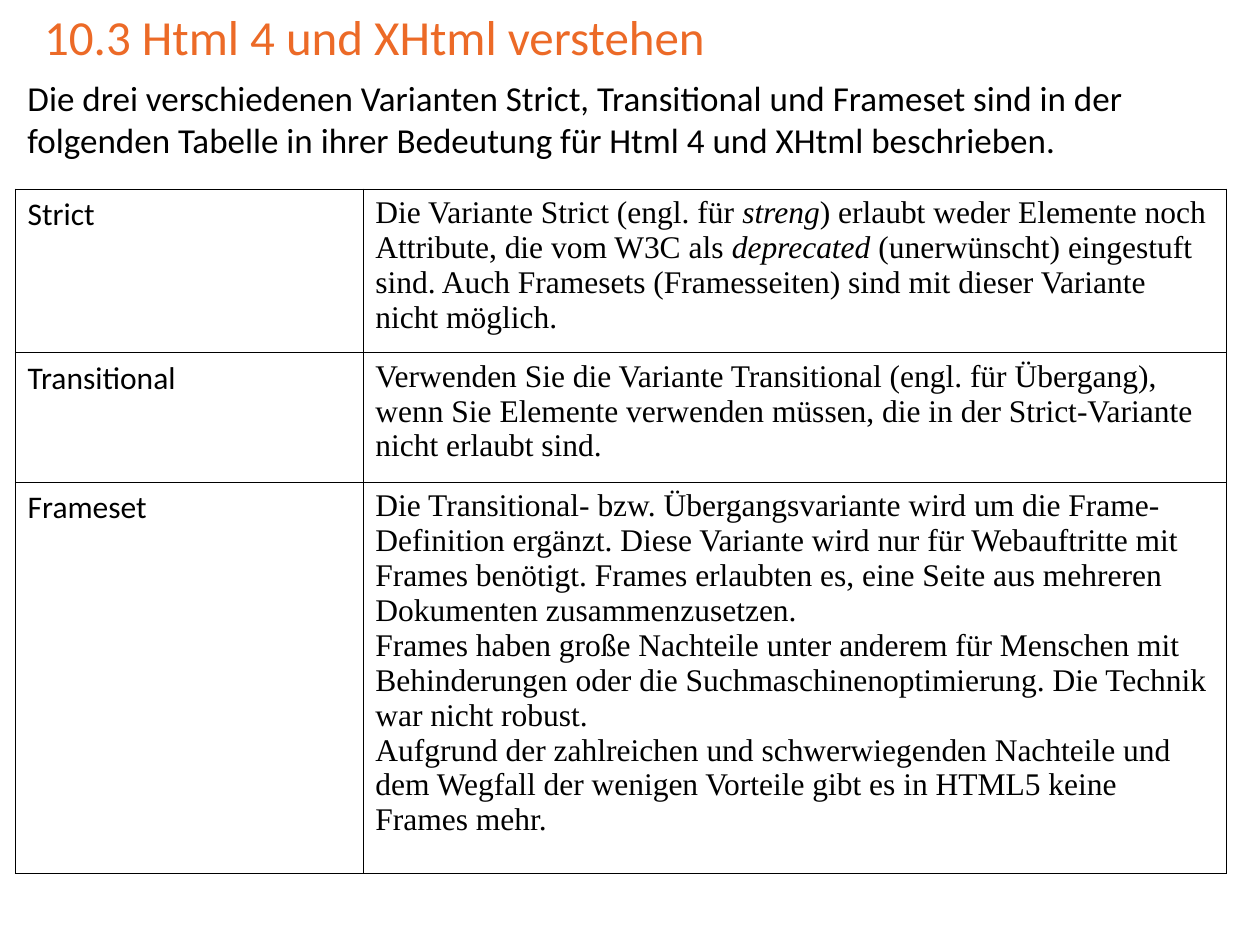
from dataclasses import dataclass

from lxml import etree
from pptx import Presentation
from pptx.dml.color import RGBColor
from pptx.enum.text import MSO_ANCHOR, MSO_AUTO_SIZE, PP_ALIGN
from pptx.oxml.ns import qn
from pptx.util import Inches, Pt

LEFT = PP_ALIGN.LEFT
TOP = MSO_ANCHOR.TOP
FIXED_SIZE = MSO_AUTO_SIZE.NONE
TITLE_ONLY = 5
BORDER_SIDES = ("a:lnL", "a:lnR", "a:lnT", "a:lnB")


@dataclass(frozen=True)
class Theme:
    accent: str = "EC6A27"
    ink: str = "000000"
    sans: str = "Calibri"
    serif: str = "Times New Roman"
    title_size: float = 28
    intro_size: float = 20
    table_size: float = 18
    border_width: float = 0.45


@dataclass(frozen=True)
class TextStyle:
    font: str
    size: float
    color: str


@dataclass(frozen=True)
class Variant:
    name: str
    paragraphs: tuple[str, ...]  # asterisks enclose italic words
    height: float


THEME = Theme()
TITLE_STYLE = TextStyle(THEME.sans, THEME.title_size, THEME.accent)
INTRO_STYLE = TextStyle(THEME.sans, THEME.intro_size, THEME.ink)
NAME_STYLE = TextStyle(THEME.sans, THEME.table_size, THEME.ink)
MEANING_STYLE = TextStyle(THEME.serif, THEME.table_size, THEME.ink)

TITLE = "10.3 Html 4 und XHtml verstehen"
INTRO = (
    "Die drei verschiedenen Varianten Strict, Transitional und Frameset sind in der "
    "folgenden Tabelle in ihrer Bedeutung für Html 4 und XHtml beschrieben."
)
COLUMN_WIDTHS = (2.76, 6.85)
VARIANTS = (
    Variant("Strict", (
        "Die Variante Strict (engl. für *streng*) erlaubt weder Elemente noch "
        "Attribute, die vom W3C als *deprecated *(unerwünscht) eingestuft sind. "
        "Auch Framesets (Framesseiten) sind mit dieser Variante nicht möglich.",
    ), 1.3),
    Variant("Transitional", (
        "Verwenden Sie die Variante Transitional (engl. für Übergang), wenn Sie "
        "Elemente verwenden müssen, die in der Strict-Variante nicht erlaubt sind.",
    ), 1.03),
    Variant("Frameset", (
        "Die Transitional- bzw. Übergangsvariante wird um die Frame-Definition "
        "ergänzt. Diese Variante wird nur für Webauftritte mit Frames benötigt. "
        "Frames erlaubten es, eine Seite aus mehreren Dokumenten zusammenzusetzen.",
        "Frames haben große Nachteile unter anderem für Menschen mit Behinderungen "
        "oder die Suchmaschinenoptimierung. Die Technik war nicht robust.",
        "Aufgrund der zahlreichen und schwerwiegenden Nachteile und dem Wegfall der "
        "wenigen Vorteile gibt es in HTML5 keine Frames mehr.",
    ), 3.1),
)


def write_text(frame, paragraphs: tuple[str, ...], style: TextStyle) -> None:
    """Fill a text frame, setting the words between asterisks in italics."""
    for index, text in enumerate(paragraphs):
        paragraph = frame.add_paragraph() if index else frame.paragraphs[0]
        paragraph.alignment = LEFT
        for part, words in enumerate(text.split("*")):
            run = paragraph.add_run()
            run.text = words
            font_format = {
                "name": style.font,
                "size": Pt(style.size),
                "italic": part % 2 == 1,
            }
            for attribute, value in font_format.items():
                setattr(run.font, attribute, value)
            run.font.color.rgb = RGBColor.from_string(style.color)


def write_block(shape, text: str, style: TextStyle) -> None:
    frame = shape.text_frame
    frame_format = {
        "word_wrap": True,
        "auto_size": FIXED_SIZE,
        "vertical_anchor": TOP,
    }
    for attribute, value in frame_format.items():
        setattr(frame, attribute, value)
    write_text(frame, (text,), style)


def add_borders(cell) -> None:
    properties = cell._tc.get_or_add_tcPr()
    for position, side in enumerate(BORDER_SIDES):
        line = etree.Element(qn(side), w=str(Pt(THEME.border_width)))
        fill = etree.SubElement(line, qn("a:solidFill"))
        etree.SubElement(fill, qn("a:srgbClr"), val=THEME.ink)
        properties.insert(position, line)


def fill_cell(cell, paragraphs: tuple[str, ...], style: TextStyle) -> None:
    cell.fill.background()
    cell.vertical_anchor = TOP
    add_borders(cell)
    write_text(cell.text_frame, paragraphs, style)


def add_variant_table(slide) -> None:
    table = slide.shapes.add_table(
        len(VARIANTS), len(COLUMN_WIDTHS), Inches(0.12), Inches(1.5),
        Inches(sum(COLUMN_WIDTHS)), Inches(sum(v.height for v in VARIANTS)),
    ).table
    table.first_row = False
    table.horz_banding = False
    for column, width in zip(table.columns, COLUMN_WIDTHS):
        column.width = Inches(width)
    for row, variant in zip(table.rows, VARIANTS):
        row.height = Inches(variant.height)
        name_cell, meaning_cell = row.cells
        fill_cell(name_cell, (variant.name,), NAME_STYLE)
        fill_cell(meaning_cell, variant.paragraphs, MEANING_STYLE)


def main() -> None:
    presentation = Presentation()
    presentation.slide_width = Inches(10)
    presentation.slide_height = Inches(7.5)
    slide = presentation.slides.add_slide(presentation.slide_layouts[TITLE_ONLY])

    title = slide.shapes.title
    title_place = {"left": 0.25, "top": 0, "width": 9.61, "height": 0.57}
    for attribute, value in title_place.items():
        setattr(title, attribute, Inches(value))
    write_block(title, TITLE, TITLE_STYLE)

    intro = slide.shapes.add_textbox(
        Inches(0.12), Inches(0.56), Inches(9.4), Inches(0.77)
    )
    write_block(intro, INTRO, INTRO_STYLE)
    add_variant_table(slide)
    presentation.save("out.pptx")


if __name__ == "__main__":
    main()
